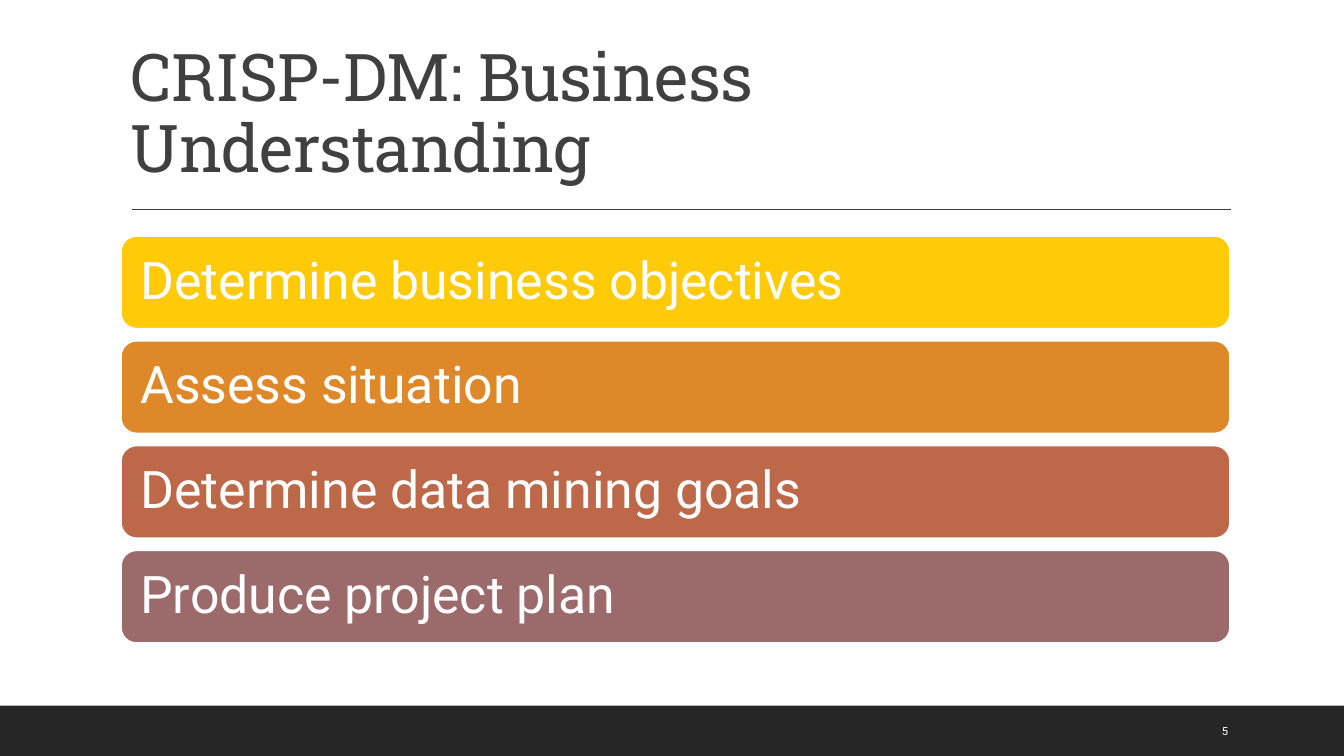
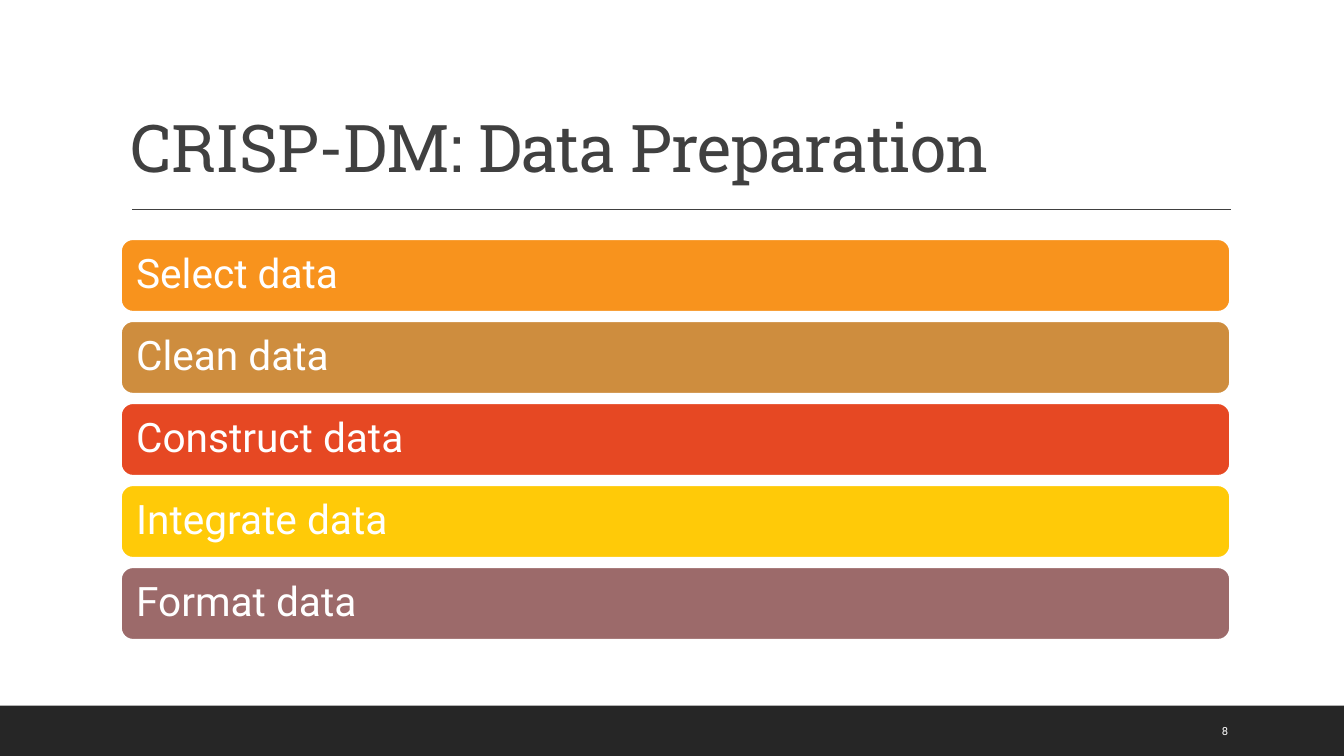
import pptx
import pptx.dml.color
import pptx.enum.shapes
import pptx.enum.text
import pptx.util
from dataclasses import dataclass
from lxml import etree
from pptx.util import Inches

PHASES = [
    {
        "title": "CRISP-DM: Business Understanding",
        "number": 5,
        "bar_height": 0.92,
        "tasks": [
            ("Determine business objectives", "FFCA08"),
            ("Assess situation", "DE8829"),
            ("Determine data mining goals", "BD6849"),
            ("Produce project plan", "9C6A6A"),
        ],
    },
    {
        "title": "CRISP-DM: Data Preparation",
        "number": 8,
        "bar_height": 0.72,
        "tasks": [
            ("Select data", "F8931D"),
            ("Clean data", "CE8D3E"),
            ("Construct data", "E64823"),
            ("Integrate data", "FFCA08"),
            ("Format data", "9C6A6A"),
        ],
    },
]


@dataclass(frozen=True)
class Theme:
    white: str = "FFFFFF"
    ink: str = "404040"
    band: str = "262626"
    title_font: str = "Roboto Slab"
    body_font: str = "Roboto"
    title_size: int = 47
    number_size: int = 8
    title_tracking: int = -50  # hundredths of a point


THEME = Theme()
SLIDE_WIDTH, SLIDE_HEIGHT = 13.33, 7.5
LEFT, CONTENT_WIDTH = 1.2, 11
BAND_HEIGHT = 0.5
TASKS_MIDDLE = 4.36
# Each of these is a share of the bar height
BAR_GAP = 0.13
BAR_INSET = 0.16
BAR_TEXT = 40  # points per inch of bar

SHAPE = pptx.enum.shapes.MSO_SHAPE
ANCHOR = pptx.enum.text.MSO_ANCHOR


def rgb(code):
    return pptx.dml.color.RGBColor.from_string(code)


def write(shape, text, font_name, size, color, anchor, line_spacing=1.0):
    frame = shape.text_frame
    frame.word_wrap = True
    frame.vertical_anchor = anchor
    frame.text = text
    paragraph = frame.paragraphs[0]
    paragraph.alignment = pptx.enum.text.PP_ALIGN.LEFT
    paragraph.line_spacing = line_spacing
    run = paragraph.runs[0]
    run.font.name = font_name
    run.font.size = pptx.util.Pt(size)
    run.font.color.rgb = rgb(color)
    return run


def add_block(slide, preset, left, top, width, height, fill):
    block = slide.shapes.add_shape(
        preset, Inches(left), Inches(top), Inches(width), Inches(height))
    block.shadow.inherit = False
    block.fill.solid()
    block.fill.fore_color.rgb = rgb(fill)
    block.line.fill.background()
    return block


def add_frame(slide, title, number):
    """Draw what every slide shares: band, rule, title and slide number."""
    add_block(slide, SHAPE.RECTANGLE, 0, SLIDE_HEIGHT - BAND_HEIGHT,
              SLIDE_WIDTH, BAND_HEIGHT, THEME.band)

    rule = slide.shapes.add_connector(
        pptx.enum.shapes.MSO_CONNECTOR.STRAIGHT,
        Inches(1.31), Inches(2.08), Inches(12.21), Inches(2.08))
    rule.line.color.rgb = rgb(THEME.ink)
    rule.line.width = pptx.util.Pt(1)
    etree.SubElement(rule.element.spPr, pptx.oxml.ns.qn("a:effectLst"))

    heading = slide.shapes.add_textbox(
        Inches(LEFT), Inches(0.31), Inches(CONTENT_WIDTH), Inches(1.59))
    run = write(heading, title, THEME.title_font, THEME.title_size,
                THEME.ink, ANCHOR.BOTTOM, 0.9)
    run.font._element.set("spc", str(THEME.title_tracking))

    page = slide.shapes.add_textbox(
        Inches(12.02), Inches(7.05), Inches(0.85), Inches(0.4))
    write(page, str(number), THEME.body_font, THEME.number_size,
          THEME.white, ANCHOR.MIDDLE)


def add_tasks(slide, tasks, height):
    """Stack one bar per task, centred on the content area."""
    pitch = height * (1 + BAR_GAP)
    top = TASKS_MIDDLE - (pitch * (len(tasks) - 1) + height) / 2
    for index, (task, color) in enumerate(tasks):
        bar = add_block(slide, SHAPE.ROUNDED_RECTANGLE, LEFT,
                        top + index * pitch, CONTENT_WIDTH, height, color)
        bar.line.color.rgb = rgb(THEME.white)
        bar.line.width = pptx.util.Pt(1.25)
        frame = bar.text_frame
        inset = Inches(BAR_INSET * height)
        frame.margin_left = frame.margin_right = inset
        frame.margin_top = frame.margin_bottom = inset
        write(bar, task, THEME.body_font, round(BAR_TEXT * height),
              THEME.white, ANCHOR.MIDDLE, 0.9)


def main():
    deck = pptx.Presentation()
    deck.slide_width = Inches(SLIDE_WIDTH)
    deck.slide_height = Inches(SLIDE_HEIGHT)
    blank = deck.slide_layouts[6]
    for phase in PHASES:
        slide = deck.slides.add_slide(blank)
        add_frame(slide, phase["title"], phase["number"])
        add_tasks(slide, phase["tasks"], phase["bar_height"])
    deck.save("out.pptx")


if __name__ == "__main__":
    main()
